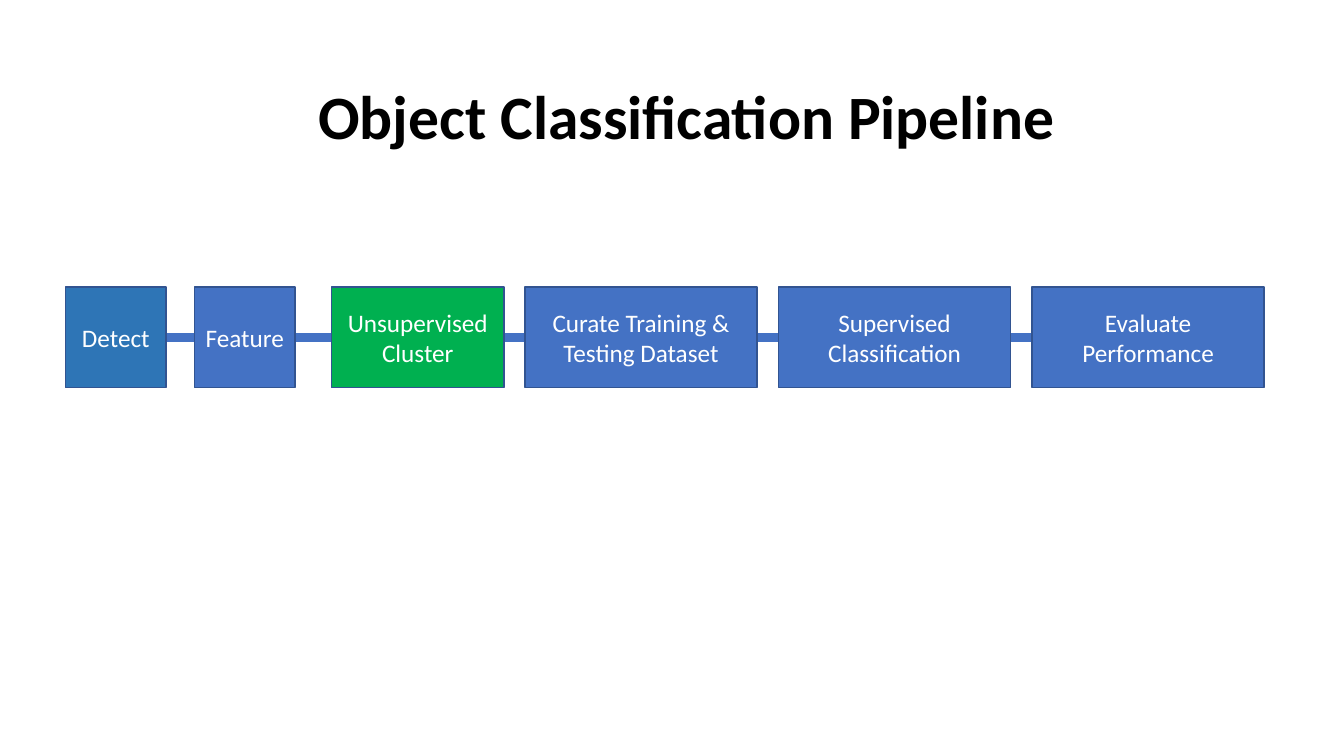
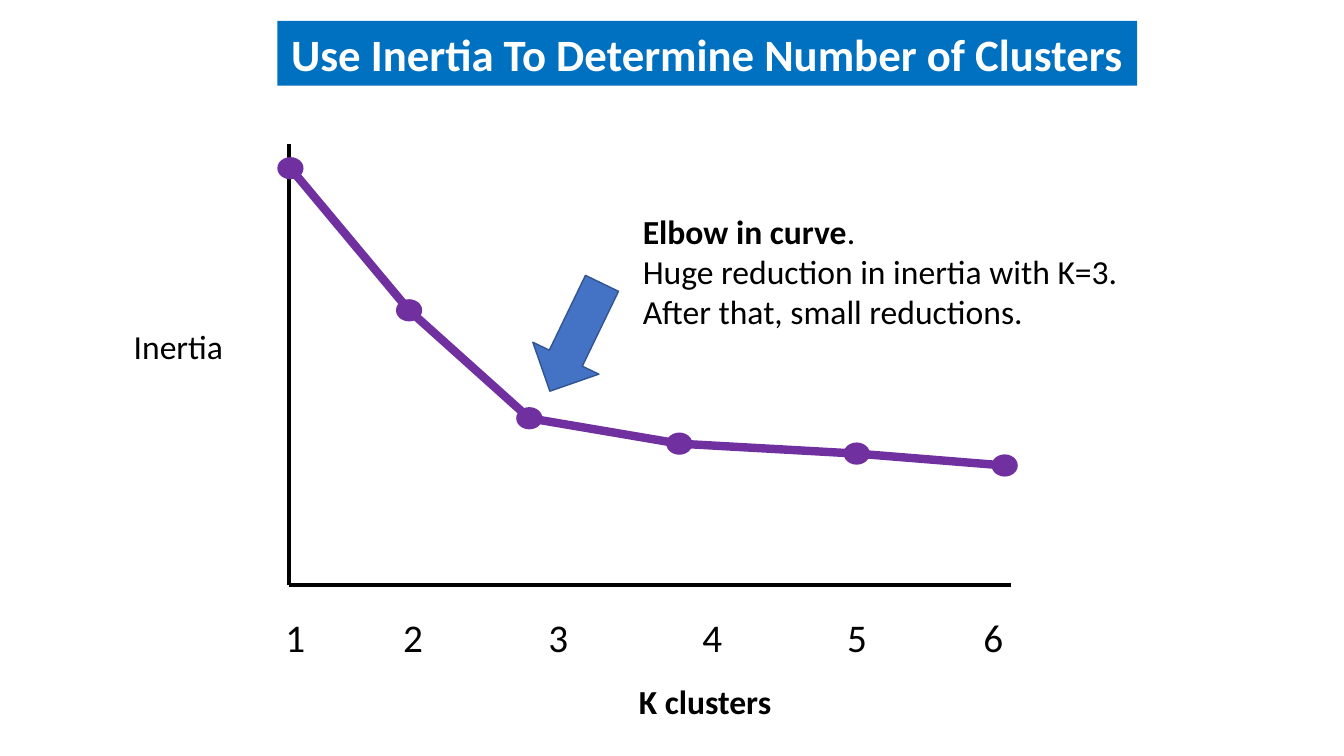
from itertools import pairwise

from lxml import etree
from pptx import Presentation
from pptx import util as u
from pptx.dml.color import RGBColor
from pptx.enum import shapes, text
from pptx.oxml.ns import qn

Cm, Pt = u.Cm, u.Pt
MSO, PP = shapes.MSO_SHAPE, text.PP_ALIGN

THEME = {
    "font": "Calibri",
    "black": "000000", "white": "FFFFFF",
    "blue": "4472C4", "edge": "325491", "detect": "2E75B6",
    "green": "00B050", "banner": "0070C0", "curve": "7030A0",
    "title": 44, "heading": 32, "tick": 28, "body": 24, "box": 18,
    "thin": 1, "axis": 3, "thick": 6,
}


def block(s, box, lines=(), kind=None, fill=None, edge=None, size="body",
          color="black", align=PP.LEFT, bold=False, wrap=False):
    """Add a preset shape, or a text box if kind is None; lines hold (text, bold) runs."""
    box = [Cm(v) for v in box]
    if kind is None:
        sp = s.shapes.add_textbox(*box)
    else:
        sp = s.shapes.add_shape(kind, *box)
        sp.shadow.inherit = False
        sp.fill.solid()
        sp.fill.fore_color.rgb = RGBColor.from_string(THEME[fill])
        if edge:
            sp.line.color.rgb = RGBColor.from_string(THEME[edge])
            sp.line.width = Pt(THEME["thin"])
        else:
            sp.line.fill.background()
    tf = sp.text_frame
    tf.word_wrap = wrap
    for i, line in enumerate(lines):
        p = tf.add_paragraph() if i else tf.paragraphs[0]
        p.alignment = align
        for words, strong in [(line, bold)] if isinstance(line, str) else line:
            r = p.add_run()
            r.text = words
            fmt = {"name": THEME["font"], "size": Pt(THEME[size]), "bold": strong}
            for key, value in fmt.items():
                setattr(r.font, key, value)
            r.font.color.rgb = RGBColor.from_string(THEME[color])
    return sp


def rule(s, start, end, color, width):
    """Add a straight line between two points."""
    c = s.shapes.add_connector(shapes.MSO_CONNECTOR.STRAIGHT,
                               *[Cm(v) for v in (*start, *end)])
    c.line.color.rgb = RGBColor.from_string(THEME[color])
    c.line.width = Pt(THEME[width])
    etree.SubElement(c._element.spPr, qn("a:effectLst"))


prs = Presentation()
prs.slide_width, prs.slide_height = Cm(33.87), Cm(19.05)
blank = prs.slide_layouts[6]

# Slide 1: pipeline
s = prs.slides.add_slide(blank)
top, height = 7.23, 2.54
middle = top + height / 2
rule(s, (4.01, middle), (27.46, middle), "blue", "thick")
steps = [
    (1.65, 2.54, "detect", ["Detect"]),
    (4.9, 2.54, "blue", ["Feature"]),
    (8.36, 4.34, "green", ["Unsupervised", "Cluster"]),
    (13.23, 5.85, "blue", ["Curate Training & Testing Dataset"]),
    (19.62, 5.85, "blue", ["Supervised", "Classification"]),
    (26.01, 5.85, "blue", ["Evaluate", "Performance"]),
]
for left, width, fill, lines in steps:
    block(s, (left, top, width, height), lines, MSO.RECTANGLE, fill, "edge",
          size="box", color="white", align=PP.CENTER, wrap=True)
block(s, (7.77, 1.85, 19.25, 2.14), ["Object Classification Pipeline"],
      size="title", bold=True)

# Slide 2: axes and tick labels
s = prs.slides.add_slide(blank)
origin = (7.29, 14.75)
rule(s, (origin[0], 3.63), origin, "black", "axis")
rule(s, origin, (25.48, origin[1]), "black", "axis")
tick_width = 1.2
for k, x in enumerate((7.44, 10.41, 14.07, 17.95, 21.6, 25.03), start=1):
    block(s, (x - tick_width / 2, 15.34, tick_width, 1.45), [str(k)],
          size="tick", align=PP.CENTER)

# Inertia curve
points = [(7.32, 4.24), (10.31, 7.82), (13.34, 10.54),
          (17.12, 11.18), (21.59, 11.43), (25.32, 11.73)]
for start, end in pairwise(points):
    rule(s, start, end, "curve", "thick")
dot_w, dot_h = 0.66, 0.56
for x, y in points:
    block(s, (x - dot_w / 2, y - dot_h / 2, dot_w, dot_h), kind=MSO.OVAL, fill="curve")

# Elbow arrow and note
arrow = block(s, (13.59, 6.99, 1.85, 3.02), kind=MSO.DOWN_ARROW, fill="blue", edge="edge")
arrow.rotation = 25.8
block(s, (15.95, 5.18, 13.13, 3.33),
      [[("Elbow in curve", True), (".", False)],
       "Huge reduction in inertia with K=3.",
       "After that, small reductions."], wrap=True)

# Heading and axis names
block(s, (6.99, 0.53, 21.67, 1.63), ["Use Inertia To Determine Number of Clusters"],
      MSO.RECTANGLE, "banner", size="heading", color="white",
      align=PP.CENTER, bold=True)
block(s, (3.12, 8.1, 2.8, 1.28), ["Inertia"])
block(s, (15.85, 17.04, 3.9, 1.28), ["K clusters"], bold=True)

prs.save("out.pptx")
